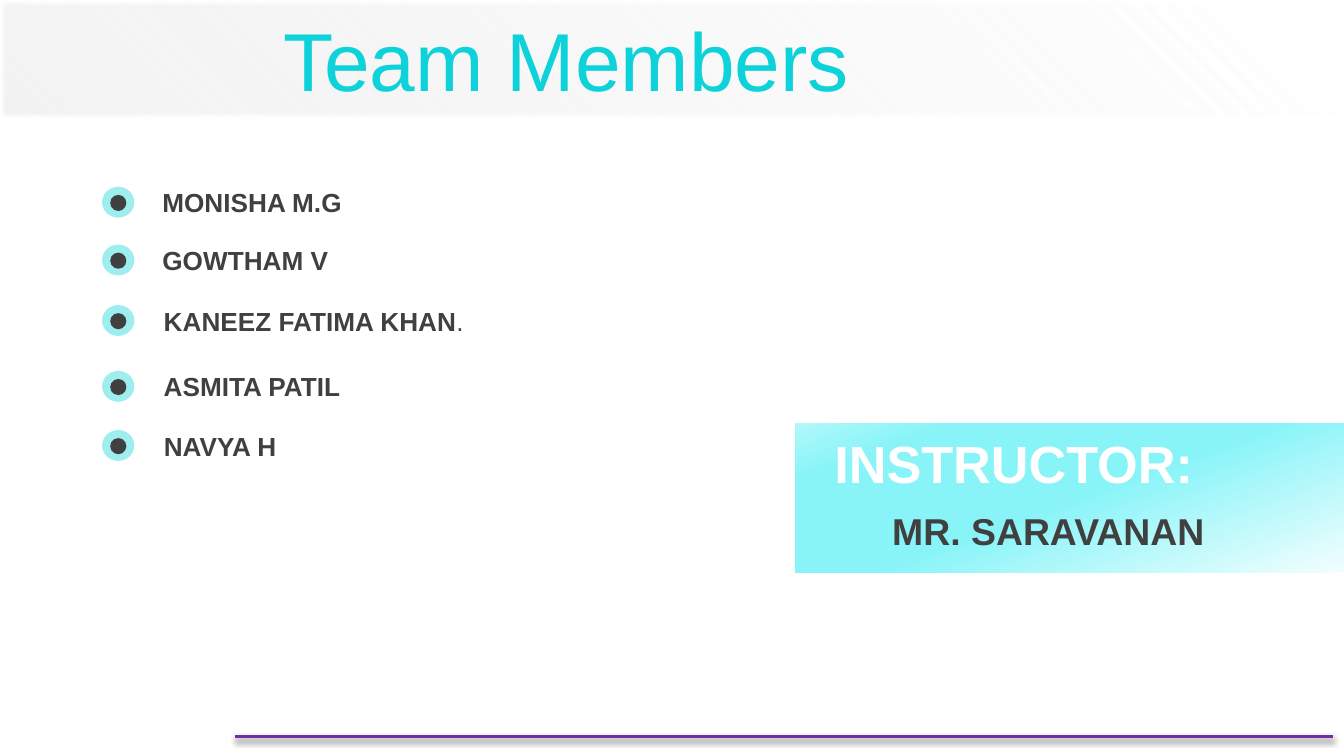
from lxml import etree
from pptx import Presentation
from pptx import util as u
from pptx.dml.color import RGBColor
from pptx.enum import shapes, text
from pptx.oxml import parse_xml
from pptx.oxml.ns import nsdecls, qn

CYAN = "0DD2D9"
DARK = "404040"
WHITE = "FFFFFF"
PURPLE = "7030A0"


def color(value):
    return RGBColor.from_string(value)


def add_shape(container, kind, left, top, width, height, fill=None, alpha=None):
    shape = container.shapes.add_shape(
        kind, u.Inches(left), u.Inches(top), u.Inches(width), u.Inches(height))
    shape.shadow.inherit = False
    shape.line.fill.background()
    if fill:
        shape.fill.solid()
        shape.fill.fore_color.rgb = color(fill)
    if alpha:
        srgb = shape._element.spPr.find(".//" + qn("a:srgbClr"))
        etree.SubElement(srgb, qn("a:alpha"), val=str(alpha * 1000))
    return shape


def set_gradient(shape, stops, direction):
    """Fill with (position, colour, opacity) stops, all in percent."""
    stop_xml = "".join(
        f'<a:gs pos="{position * 1000}"><a:srgbClr val="{value}">'
        f'<a:alpha val="{opacity * 1000}"/></a:srgbClr></a:gs>'
        for position, value, opacity in stops)
    gradient = parse_xml(
        f'<a:gradFill {nsdecls("a")} rotWithShape="1">'
        f"<a:gsLst>{stop_xml}</a:gsLst>{direction}</a:gradFill>")
    shape._element.spPr.find(qn("a:prstGeom")).addnext(gradient)


def add_text(slide, content, left, top, width, height, size=14, fill=DARK,
             bold=True, align=text.PP_ALIGN.LEFT, anchor=text.MSO_ANCHOR.TOP,
             plain_end=""):
    box = slide.shapes.add_textbox(
        u.Inches(left), u.Inches(top), u.Inches(width), u.Inches(height))
    frame = box.text_frame
    frame.word_wrap = True
    frame.vertical_anchor = anchor
    paragraph = frame.paragraphs[0]
    paragraph.alignment = align
    for words, weight in ((content, bold), (plain_end, False)):
        if words:
            run = paragraph.add_run()
            run.text = words
            run.font.name = "Arial"
            run.font.size = u.Pt(size)
            run.font.bold = weight
            run.font.color.rgb = color(fill)


def add_header(slide, left, top, width, height):
    banner = add_shape(slide, shapes.MSO_SHAPE.RECTANGLE, left, top, width, height)
    set_gradient(
        banner, [(0, WHITE, 73), (100, "F2F2F2", 100)],
        '<a:path path="circle"><a:fillToRect l="100000" b="100000"/></a:path>')
    # Soft banner edge
    effects = banner._element.spPr.find(qn("a:effectLst"))
    etree.SubElement(effects, qn("a:softEdge"), rad=str(u.Pt(2.5)))
    add_text(slide, " Team Members", left, top + 0.01, 8.27, 0.85, size=44,
             fill=CYAN, bold=False, align=text.PP_ALIGN.CENTER,
             anchor=text.MSO_ANCHOR.MIDDLE)


def add_member(slide, name, left, top, indent, width, plain_end=""):
    # Ringed bullet
    bullet = slide.shapes.add_group_shape()
    oval = shapes.MSO_SHAPE.OVAL
    add_shape(bullet, oval, left, top + 0.05, 0.24, 0.23, CYAN, alpha=40)
    add_shape(bullet, oval, left + 0.06, top + 0.11, 0.12, 0.12, DARK)
    # Name
    add_text(slide, name, left + indent, top, width, 0.34, plain_end=plain_end)


def add_instructor(slide, left, top, width, height):
    panel = add_shape(slide, shapes.MSO_SHAPE.RECTANGLE, left, top, width, height)
    set_gradient(
        panel, [(0, "F2FEFE", 100), (50, "88F4F8", 100),
                (83, "88F4F8", 100), (100, "B0F8FA", 100)],
        f'<a:lin ang="{250 * 60000}" scaled="0"/>')
    add_text(slide, "INSTRUCTOR:", left + 0.19, top + 0.01, 3.54, 0.57,
             size=28, fill=WHITE)
    add_text(slide, "MR. SARAVANAN", left + 0.62, top + 0.58, 2.68, 0.44, size=20)


def add_footer_line(slide, left, top, width):
    line = slide.shapes.add_connector(
        shapes.MSO_CONNECTOR.STRAIGHT, u.Inches(left), u.Inches(top),
        u.Inches(left + width), u.Inches(top))
    line.line.color.rgb = color(PURPLE)
    line.line.width = u.Pt(2)
    line._element.spPr.append(parse_xml(
        f'<a:effectLst {nsdecls("a")}><a:outerShdw blurRad="{u.Pt(3.1)}" '
        f'dist="{u.Pt(1.6)}" dir="5400000" rotWithShape="0">'
        '<a:srgbClr val="000000"><a:alpha val="38000"/></a:srgbClr>'
        "</a:outerShdw></a:effectLst>"))


def main():
    presentation = Presentation()
    # Widescreen, 16:9
    presentation.slide_width = u.Inches(10)
    presentation.slide_height = u.Inches(10) * 9 // 16
    slide = presentation.slides.add_slide(presentation.slide_layouts[6])

    add_header(slide, 0, 0, 10, 0.88)
    add_instructor(slide, 5.92, 3.15, 4.08, 1.11)

    # Team list: name, top, indent, width, plain ending
    members = [
        ("MONISHA M.G", 1.34, 0.35, 1.54, ""),
        ("GOWTHAM V", 1.77, 0.35, 1.56, ""),
        ("KANEEZ FATIMA KHAN", 2.22, 0.36, 2.57, "."),
        ("ASMITA PATIL", 2.71, 0.36, 2.3, ""),
        ("NAVYA H", 3.15, 0.36, 1.78, ""),
    ]
    for name, top, indent, width, plain_end in members:
        add_member(slide, name, 0.76, top, indent, width, plain_end)

    add_footer_line(slide, 1.75, 5.48, 8.17)
    presentation.save("out.pptx")


if __name__ == "__main__":
    main()
